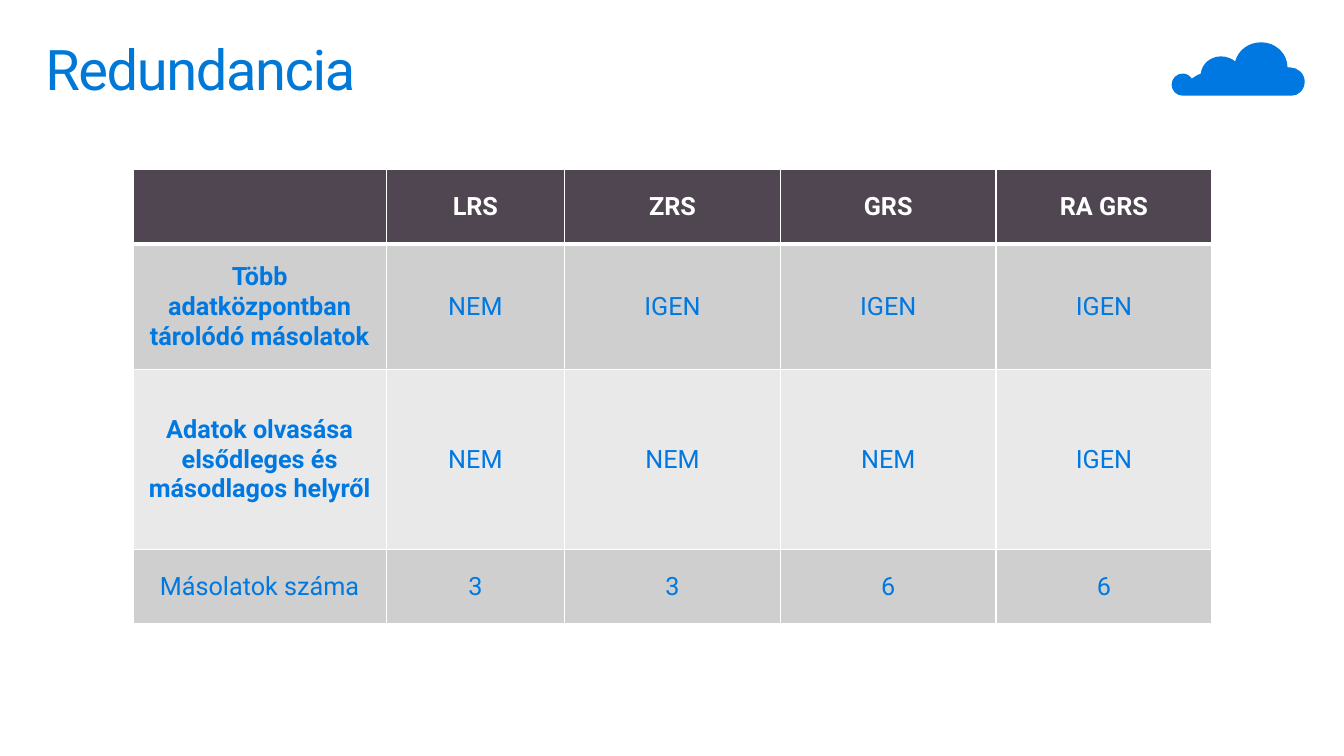
from dataclasses import dataclass

import lxml.etree
import pptx
import pptx.dml.color
import pptx.enum.text
import pptx.oxml.ns
import pptx.slide
import pptx.table
import pptx.text.text
import pptx.util

Inches = pptx.util.Inches
Pt = pptx.util.Pt
qn = pptx.oxml.ns.qn

Point = tuple[float, float]


@dataclass(frozen=True)
class Theme:
    font: str = "Roboto"
    title_size: float = 40
    table_size: float = 18
    title: str = "0078D7"
    accent: str = "0078E1"
    header: str = "4F4651"
    dark_band: str = "D0CFD0"
    light_band: str = "E9E9E9"
    white: str = "FFFFFF"
    thin_rule: float = 1
    header_rule: float = 3


@dataclass(frozen=True)
class Curve:
    """A piece of the cloud's edge, in inches; straight when it has no controls."""
    end: Point
    controls: tuple[Point, ...] = ()


@dataclass(frozen=True)
class TableRow:
    height: float
    label: str
    values: tuple[str, ...]
    fill: str
    color: str
    bold_label: bool = False
    bold_values: bool = False


THEME = Theme()

CLOUD_START = (12.8, 0.67)
CLOUD_EDGE = (
    Curve((12.77, 0.67)),
    Curve((12.51, 0.42), ((12.77, 0.53), (12.65, 0.42))),
    Curve((12.25, 0.61), ((12.38, 0.42), (12.28, 0.5))),
    Curve((12.11, 0.56), ((12.22, 0.58), (12.16, 0.56))),
    Curve((11.91, 0.73), ((12.01, 0.56), (11.92, 0.63))),
    Curve((11.82, 0.78), ((11.88, 0.74), (11.85, 0.76))),
    Curve((11.73, 0.73), ((11.8, 0.75), (11.77, 0.73))),
    Curve((11.62, 0.84), ((11.67, 0.73), (11.62, 0.78))),
    Curve((11.73, 0.95), ((11.62, 0.9), (11.67, 0.95))),
    Curve((12.81, 0.95)),
    Curve((12.94, 0.81), ((12.88, 0.95), (12.94, 0.89))),
    Curve(CLOUD_START, ((12.94, 0.73), (12.87, 0.67))),
)

COLUMN_WIDTHS = (2.51, 1.77, 2.14, 2.14, 2.14)
ROWS = (
    TableRow(0.74, "", ("LRS", "ZRS", "GRS", "RA GRS"),
             THEME.header, THEME.white, bold_values=True),
    TableRow(1.25, "Több adatközpontban tárolódó másolatok",
             ("NEM", "IGEN", "IGEN", "IGEN"),
             THEME.dark_band, THEME.accent, bold_label=True),
    TableRow(1.78, "Adatok olvasása elsődleges és másodlagos helyről",
             ("NEM", "NEM", "NEM", "IGEN"),
             THEME.light_band, THEME.accent, bold_label=True),
    TableRow(0.74, "Másolatok száma", ("3", "3", "6", "6"),
             THEME.dark_band, THEME.accent),
)


def rgb(value: str) -> pptx.dml.color.RGBColor:
    return pptx.dml.color.RGBColor.from_string(value)


def style_font(font: pptx.text.text.Font, size: float, color: str,
               bold: bool = False) -> None:
    font.name = THEME.font
    font.size = Pt(size)
    font.bold = bold
    font.color.rgb = rgb(color)


def draw_cloud(slide: pptx.slide.Slide) -> None:
    """Draw the edge with straight sides, then bend the sides that have controls."""
    builder = slide.shapes.build_freeform(*map(Inches, CLOUD_START))
    builder.add_line_segments(
        [tuple(map(Inches, curve.end)) for curve in CLOUD_EDGE], close=True)
    cloud = builder.convert_to_shape()
    sides = list(cloud._element.iter(qn("a:lnTo")))
    for side, curve in zip(sides, CLOUD_EDGE):
        if not curve.controls:
            continue
        side.tag = qn("a:cubicBezTo")
        for position, (x, y) in enumerate(curve.controls):
            control = lxml.etree.Element(
                qn("a:pt"), x=str(Inches(x) - cloud.left),
                y=str(Inches(y) - cloud.top))
            side.insert(position, control)
    cloud.shadow.inherit = False
    cloud.fill.solid()
    cloud.fill.fore_color.rgb = rgb(THEME.accent)
    cloud.line.fill.background()


def draw_title(slide: pptx.slide.Slide, text: str) -> None:
    title = slide.shapes.add_textbox(
        Inches(0.29), Inches(0.32), Inches(12.75), Inches(0.98))
    frame = title.text_frame
    frame.word_wrap = True
    frame.margin_left = frame.margin_right = Inches(0.16)
    frame.margin_top = frame.margin_bottom = Inches(0.1)
    frame.text = text
    paragraph = frame.paragraphs[0]
    paragraph.line_spacing = 0.9
    font = paragraph.runs[0].font
    style_font(font, THEME.title_size, THEME.title)
    font._element.set("spc", "-100")


def set_borders(cell: pptx.table._Cell, top: float, bottom: float) -> None:
    """Draw white rules round a cell; widths are in points."""
    properties = cell._tc.get_or_add_tcPr()
    widths = {"a:lnL": THEME.thin_rule, "a:lnR": THEME.thin_rule,
              "a:lnT": top, "a:lnB": bottom}
    for position, (tag, width) in enumerate(widths.items()):
        rule = lxml.etree.Element(qn(tag), w=str(Pt(width)))
        fill = lxml.etree.SubElement(rule, qn("a:solidFill"))
        lxml.etree.SubElement(fill, qn("a:srgbClr"), val=THEME.white)
        properties.insert(position, rule)


def fill_cell(cell: pptx.table._Cell, text: str, row: TableRow,
              bold: bool) -> None:
    cell.fill.solid()
    cell.fill.fore_color.rgb = rgb(row.fill)
    cell.vertical_anchor = pptx.enum.text.MSO_ANCHOR.MIDDLE
    if not text:
        return
    cell.text_frame.text = text
    paragraph = cell.text_frame.paragraphs[0]
    paragraph.alignment = pptx.enum.text.PP_ALIGN.CENTER
    style_font(paragraph.runs[0].font, THEME.table_size, row.color, bold)


def draw_redundancy_table(slide: pptx.slide.Slide) -> None:
    table = slide.shapes.add_table(
        len(ROWS), len(COLUMN_WIDTHS), Inches(1.32), Inches(1.68),
        Inches(sum(COLUMN_WIDTHS)), Inches(sum(row.height for row in ROWS))).table
    table.horz_banding = False
    for column, width in zip(table.columns, COLUMN_WIDTHS):
        column.width = Inches(width)
    for index, row in enumerate(ROWS):
        table.rows[index].height = Inches(row.height)
        top = THEME.header_rule if index == 1 else THEME.thin_rule
        bottom = THEME.header_rule if index == 0 else THEME.thin_rule
        for column_index, text in enumerate((row.label, *row.values)):
            cell = table.cell(index, column_index)
            bold = row.bold_values if column_index else row.bold_label
            fill_cell(cell, text, row, bold)
            set_borders(cell, top, bottom)


def main() -> None:
    presentation = pptx.Presentation()
    presentation.slide_width = Inches(13.33)
    presentation.slide_height = Inches(7.5)
    slide = presentation.slides.add_slide(presentation.slide_layouts[6])
    draw_cloud(slide)
    draw_title(slide, "Redundancia")
    draw_redundancy_table(slide)
    presentation.save("out.pptx")


if __name__ == "__main__":
    main()
